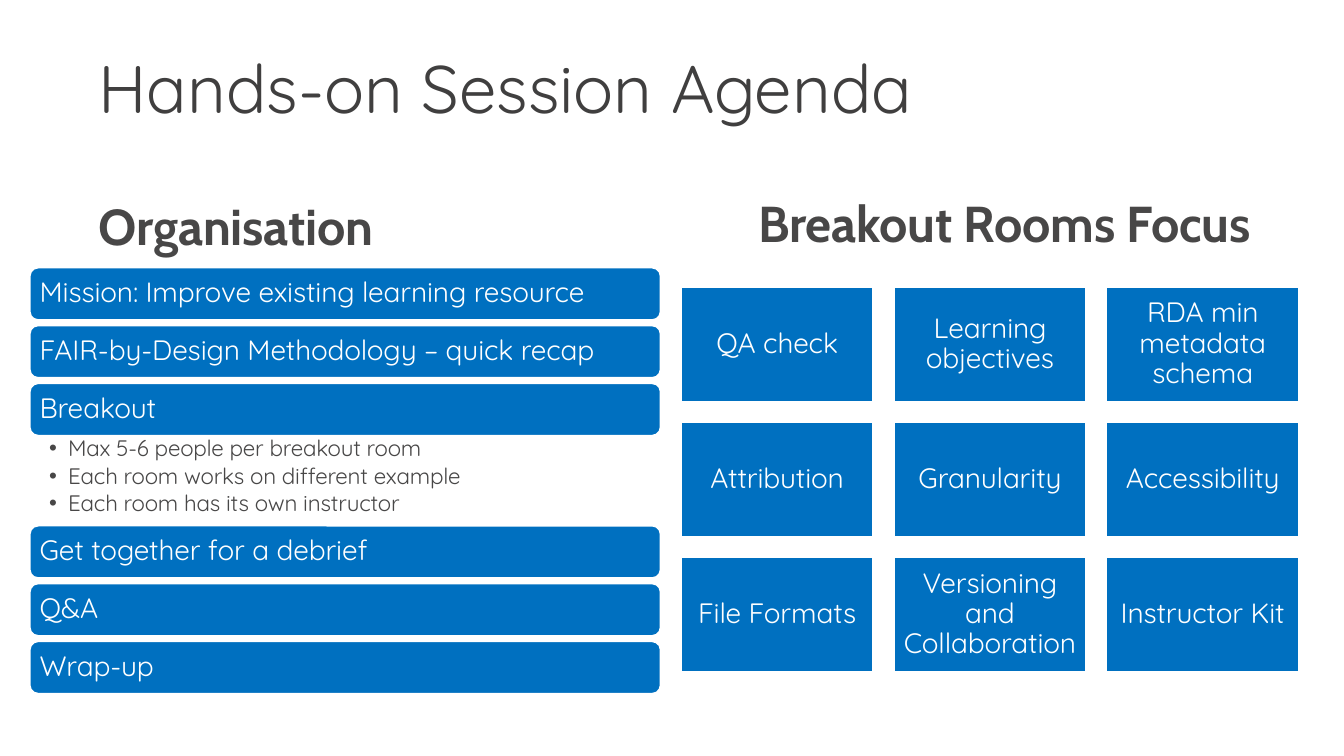
from pptx import Presentation
from pptx.dml.color import RGBColor
from pptx.enum.shapes import MSO_SHAPE
from pptx.enum.text import MSO_ANCHOR, MSO_AUTO_SIZE, PP_ALIGN
from pptx.util import Pt

THEME = {
    "blue": RGBColor(0x00, 0x70, 0xC0),
    "white": RGBColor(0xFF, 0xFF, 0xFF),
    "dark": RGBColor(0x40, 0x3F, 0x3F),
    "grey": RGBColor(0x48, 0x47, 0x47),
    "head": "Cabin",
    "text": "Quicksand",
    "title": 48,
    "topic": 36,
    "label": 20,
    "note": 16,
}


def write(shape, text, size, color, font="text", bold=False, align=PP_ALIGN.LEFT,
          anchor=MSO_ANCHOR.MIDDLE, inset=(5.6, 5.6, 5.6, 5.6), line=0.9,
          after=0, indent=0, track=-10):
    frame = shape.text_frame
    frame.text = text
    frame.word_wrap = True
    frame.auto_size = MSO_AUTO_SIZE.NONE
    frame.vertical_anchor = anchor
    frame.margin_left, frame.margin_top, frame.margin_right, frame.margin_bottom = map(Pt, inset)
    for para in frame.paragraphs:
        para.alignment = align
        para.line_spacing = line
        para.space_before = Pt(0)
        para.space_after = Pt(after)
        if indent:
            props = para._p.get_or_add_pPr()
            props.set("marL", str(Pt(indent)))
            props.set("indent", str(-Pt(indent)))
        for run in para.runs:
            run.font.name = THEME[font]
            run.font.size = Pt(THEME[size])
            run.font.bold = bold
            run.font.color.rgb = THEME[color]
            run._r.get_or_add_rPr().set("spc", str(track))


def block(kind, left, top, width, height, text, align):
    shape = slide.shapes.add_shape(kind, Pt(left), Pt(top), Pt(width), Pt(height))
    shape.shadow.inherit = False
    shape.fill.solid()
    shape.fill.fore_color.rgb = THEME["blue"]
    shape.line.color.rgb = THEME["white"]
    shape.line.width = Pt(2)
    write(shape, text, "label", "white", align=align)


deck = Presentation()
deck.slide_width, deck.slide_height = Pt(960), Pt(540)
slide = deck.slides.add_slide(deck.slide_layouts[4])
title, left_head, notes, right_head, spare = slide.placeholders
spare._element.getparent().remove(spare._element)

places = [
    (title, 66, 28.8, 828, 104.4),
    (left_head, 66, 122.4, 406, 64.8),
    (right_head, 537.2, 120.2, 408, 64.8),
    (notes, 20.9, 311, 451.4, 64.1),
]
for holder, left, top, width, height in places:
    holder.left, holder.top = Pt(left), Pt(top)
    holder.width, holder.height = Pt(width), Pt(height)

edge = (4.3, 4.3, 4.3, 4.3)
write(title, "Hands-on Session Agenda", "title", "dark", anchor=MSO_ANCHOR.TOP,
      inset=edge, line=1, track=0)
for holder, text in [(left_head, "Organisation"), (right_head, "Breakout Rooms Focus")]:
    write(holder, text, "topic", "grey", font="head", bold=True, align=PP_ALIGN.JUSTIFY,
          anchor=MSO_ANCHOR.BOTTOM, inset=edge, line=1.2)

rules = [
    "Max 5-6 people per breakout room",
    "Each room works on different example",
    "Each room has its own instructor",
]
write(notes, "\n".join(rules), "note", "grey", anchor=MSO_ANCHOR.TOP,
      inset=(14.3, 1.5, 8.5, 1.5), after=2.4, indent=13.5)

steps = [
    (190.8, ["Mission: Improve existing learning resource",
             "FAIR-by-Design Methodology – quick recap", "Breakout"]),
    (375.1, ["Get together for a debrief", "Q&A", "Wrap-up"]),
]
for start, names in steps:
    for row, name in enumerate(names):
        block(MSO_SHAPE.ROUNDED_RECTANGLE, 20.9, start + row * 41.3, 451.4, 38.2,
              name, PP_ALIGN.LEFT)

rooms = [
    "QA check", "Learning objectives", "RDA min metadata schema",
    "Attribution", "Granularity", "Accessibility",
    "File Formats", "Versioning and Collaboration", "Instructor Kit",
]
for spot, room in enumerate(rooms):
    row, col = divmod(spot, 3)
    block(MSO_SHAPE.RECTANGLE, 486 + col * 152, 204.4 + row * 96.6, 138.2, 82.8,
          room, PP_ALIGN.CENTER)

deck.save("out.pptx")
